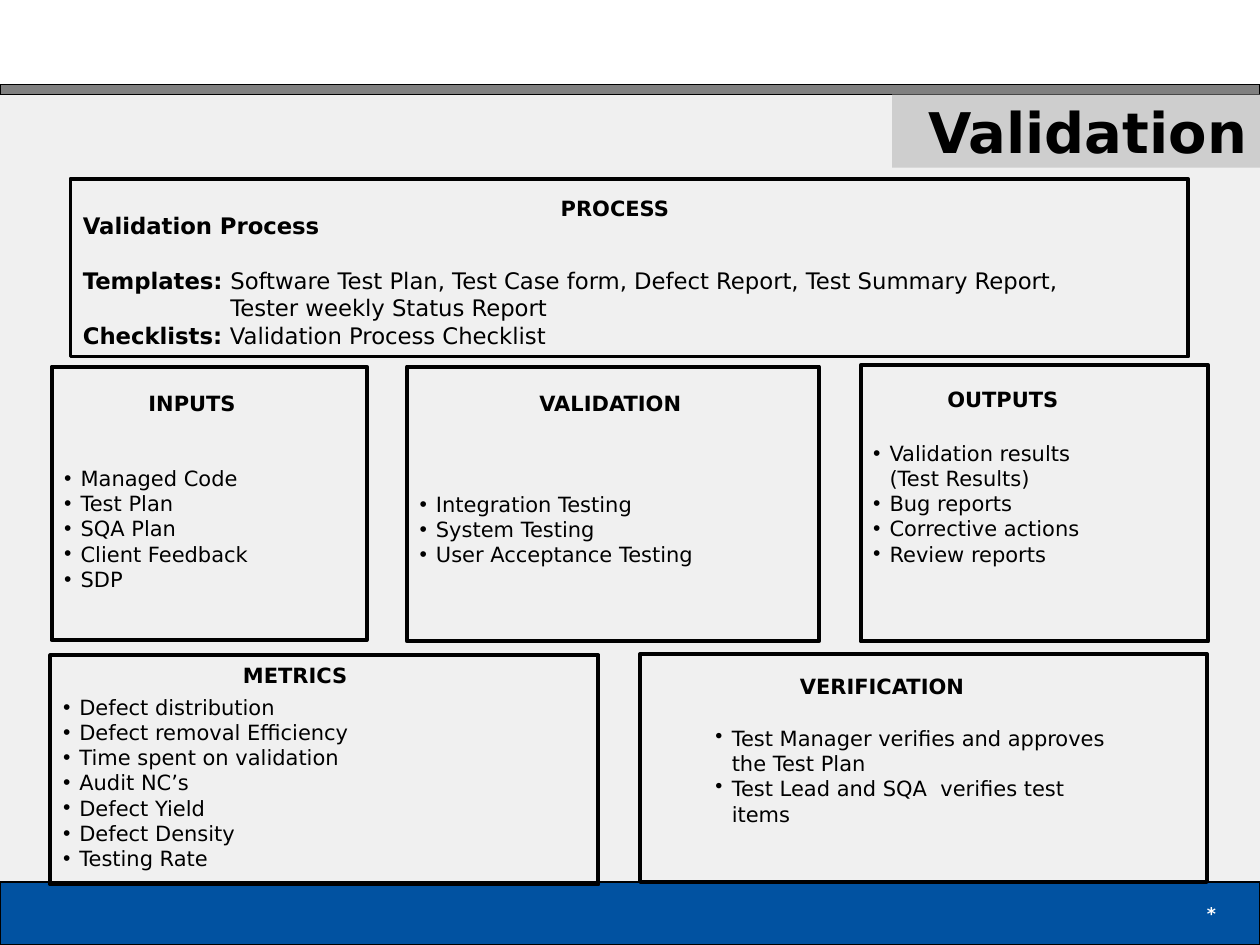
from dataclasses import dataclass

from lxml import etree
from pptx import Presentation
from pptx.dml.color import RGBColor
from pptx.enum.shapes import MSO_SHAPE
from pptx.enum.text import MSO_ANCHOR, MSO_AUTO_SIZE, PP_ALIGN
from pptx.oxml.ns import qn
from pptx.util import Inches, Pt

RECT = MSO_SHAPE.RECTANGLE
TOP, MIDDLE = MSO_ANCHOR.TOP, MSO_ANCHOR.MIDDLE
LEFT, CENTER, RIGHT = PP_ALIGN.LEFT, PP_ALIGN.CENTER, PP_ALIGN.RIGHT
NO_AUTOFIT = MSO_AUTO_SIZE.NONE


@dataclass(frozen=True)
class Theme:
    font: str = "DejaVu Sans"
    background: str = "F0F0F0"
    footer: str = "0152A1"
    tab: str = "CECECE"
    rule: str = "808080"
    ink: str = "000000"
    white: str = "FFFFFF"
    title: float = 32
    process: float = 13
    body: float = 12
    number: float = 10
    thin: float = 0.75
    frame: float = 2.25


THEME = Theme()
LINE = 0.2  # height of one line of body text, inches
HANG = 0.13
TEMPLATE_INDENT = 1.17
CONTINUED = "> "  # marks an indented line that carries no bullet


@dataclass(frozen=True)
class Box:
    left: float
    top: float
    width: float
    height: float

    def lengths(self) -> tuple:
        return tuple(Inches(v) for v in (self.left, self.top, self.width, self.height))


@dataclass(frozen=True)
class Panel:
    box: Box
    heading_lines: int
    items: tuple


@dataclass(frozen=True)
class Label:
    text: str
    box: Box
    align: int = LEFT
    size: float = THEME.body
    color: str = THEME.ink
    anchor: int = TOP


BANDS = (
    (Box(0, 7, 10, 0.5), THEME.footer, True),
    (Box(0, 0, 10, 0.67), THEME.white, False),
    (Box(0, 0.67, 10, 0.08), THEME.rule, True),
)

TITLE_BOX = Box(7.08, 0.75, 2.92, 0.58)
PROCESS_BOX = Box(0.56, 1.42, 8.87, 1.41)
VERIFICATION_BOX = Box(5.08, 5.19, 4.5, 1.81)
VERIFICATION_LIST = Box(5.58, 5.71, 3.43, 0.7)

PANELS = (
    Panel(Box(0.4, 5.2, 4.35, 1.82), 1, (
        "Defect distribution", "Defect removal Efficiency",
        "Time spent on validation", "Audit NC’s", "Defect Yield",
        "Defect Density", "Testing Rate")),
    Panel(Box(3.23, 2.91, 3.27, 2.18), 2, (
        "Integration Testing", "System Testing", "User Acceptance Testing")),
    Panel(Box(0.41, 2.91, 2.5, 2.17), 2, (
        "Managed Code", "Test Plan", "SQA Plan", "Client Feedback", "SDP")),
    Panel(Box(6.83, 2.9, 2.76, 2.19), 0, (
        "Validation results", CONTINUED + "(Test Results)", "Bug reports",
        "Corrective actions", "Review reports")),
)

VERIFICATION_ITEMS = (
    "Test Manager verifies and approves the Test Plan",
    "Test Lead and SQA  verifies test items",
)

# Bold lead, plain text, left indent in inches, space before in points
PROCESS_LINES = (
    ("Validation Process", "", 0, 0),
    ("Templates: ", "Software Test Plan, Test Case form, Defect Report, "
     "Test Summary Report,", 0, 15.5),
    ("", "Tester weekly Status Report", TEMPLATE_INDENT, 0),
    ("Checklists: ", "Validation Process Checklist", 0, 0),
)

LABELS = (
    Label("PROCESS", Box(4.17, 1.5, 1.42, 0.3), CENTER),
    Label("METRICS", Box(1.83, 5.21, 1.17, 0.3)),
    Label("OUTPUTS", Box(7.42, 3.02, 1.17, 0.3)),
    Label("INPUTS", Box(1.08, 3.05, 1.17, 0.3)),
    Label("VERIFICATION", Box(6.25, 5.3, 1.83, 0.3)),
    Label("VALIDATION", Box(3.26, 3.05, 3.17, 0.3), CENTER),
    Label("*", Box(7.67, 7, 2.08, 0.5), RIGHT, THEME.number, THEME.white, MIDDLE),
)


def rgb(value: str) -> RGBColor:
    return RGBColor.from_string(value)


def style_font(font, size: float, bold: bool = False, color: str = THEME.ink) -> None:
    font.name, font.size, font.bold = THEME.font, Pt(size), bold
    font.color.rgb = rgb(color)


def place(sp, box: Box) -> None:
    sp.left, sp.top, sp.width, sp.height = box.lengths()


def set_frame(tf, anchor: int, heading_lines: int = 0) -> None:
    """Set wrapping and insets, leaving room on top for a heading."""
    tf.word_wrap, tf.auto_size, tf.vertical_anchor = True, NO_AUTOFIT, anchor
    tf.margin_left = tf.margin_right = Inches(0.1)
    tf.margin_top, tf.margin_bottom = Inches(0.05 + LINE * heading_lines), Inches(0.05)


def outline(sp, width: float) -> None:
    sp.line.color.rgb, sp.line.width = rgb(THEME.ink), Pt(width)


def add_rect(s, box: Box):
    sp = s.shapes.add_shape(RECT, *box.lengths())
    sp.shadow.inherit = False
    return sp


def add_frame(s, box: Box):
    sp = add_rect(s, box)
    sp.fill.background()
    outline(sp, THEME.frame)
    return sp


def add_bands(s) -> None:
    """Draw the page bands behind everything else."""
    for i, (box, color, lined) in enumerate(BANDS):
        sp = add_rect(s, box)
        sp.fill.solid()
        sp.fill.fore_color.rgb = rgb(color)
        if lined:
            outline(sp, THEME.thin)
        else:
            sp.line.fill.background()
        s.shapes._spTree.insert(2 + i, sp._element)


def fill_list(tf, items: tuple) -> None:
    for i, item in enumerate(items):
        p = tf.paragraphs[0] if i == 0 else tf.add_paragraph()
        bulleted = not item.startswith(CONTINUED)
        p.text = item.removeprefix(CONTINUED)
        p_pr = p._p.get_or_add_pPr()
        p_pr.set("marL", str(Inches(HANG)))
        p_pr.set("indent", str(-Inches(HANG) if bulleted else 0))
        if bulleted:
            clr = etree.SubElement(p_pr, qn("a:buClr"))
            etree.SubElement(clr, qn("a:srgbClr"), val=THEME.ink)
            etree.SubElement(p_pr, qn("a:buChar"), char="•")
        else:
            etree.SubElement(p_pr, qn("a:buNone"))
        p.alignment, p.space_before = LEFT, Pt(0)
        style_font(p.runs[0].font, THEME.body)


def add_process(s) -> None:
    tf = add_frame(s, PROCESS_BOX).text_frame
    set_frame(tf, MIDDLE, heading_lines=1)
    for i, (lead, text, indent, before) in enumerate(PROCESS_LINES):
        p = tf.paragraphs[0] if i == 0 else tf.add_paragraph()
        p._p.get_or_add_pPr().set("marL", str(Inches(indent)))
        p.alignment, p.space_before = LEFT, Pt(before)
        for part, bold in ((lead, True), (text, False)):
            if part:
                r = p.add_run()
                r.text = part
                style_font(r.font, THEME.process, bold)


def set_heading(tf, label: Label) -> None:
    set_frame(tf, label.anchor)
    tf.text = label.text
    p = tf.paragraphs[0]
    p.alignment = label.align
    style_font(p.runs[0].font, label.size, True, label.color)


def main() -> None:
    prs = Presentation()
    prs.slide_width, prs.slide_height = Inches(10), Inches(7.5)
    s = prs.slides.add_slide(prs.slide_layouts.get_by_name("Comparison"))
    s.background.fill.solid()
    s.background.fill.fore_color.rgb = rgb(THEME.background)

    title, *bodies = s.placeholders
    place(title, TITLE_BOX)
    title.fill.solid()
    title.fill.fore_color.rgb = rgb(THEME.tab)
    set_heading(title.text_frame, Label("Validation", TITLE_BOX, RIGHT, THEME.title, anchor=MIDDLE))

    for sp, panel in zip(bodies, PANELS):
        place(sp, panel.box)
        outline(sp, THEME.frame)
        set_frame(sp.text_frame, MIDDLE, panel.heading_lines)
        fill_list(sp.text_frame, panel.items)

    add_bands(s)
    add_process(s)
    add_frame(s, VERIFICATION_BOX)
    tf = s.shapes.add_textbox(*VERIFICATION_LIST.lengths()).text_frame
    set_frame(tf, TOP)
    fill_list(tf, VERIFICATION_ITEMS)
    for label in LABELS:
        set_heading(s.shapes.add_textbox(*label.box.lengths()).text_frame, label)
    prs.save("out.pptx")


if __name__ == "__main__":
    main()
